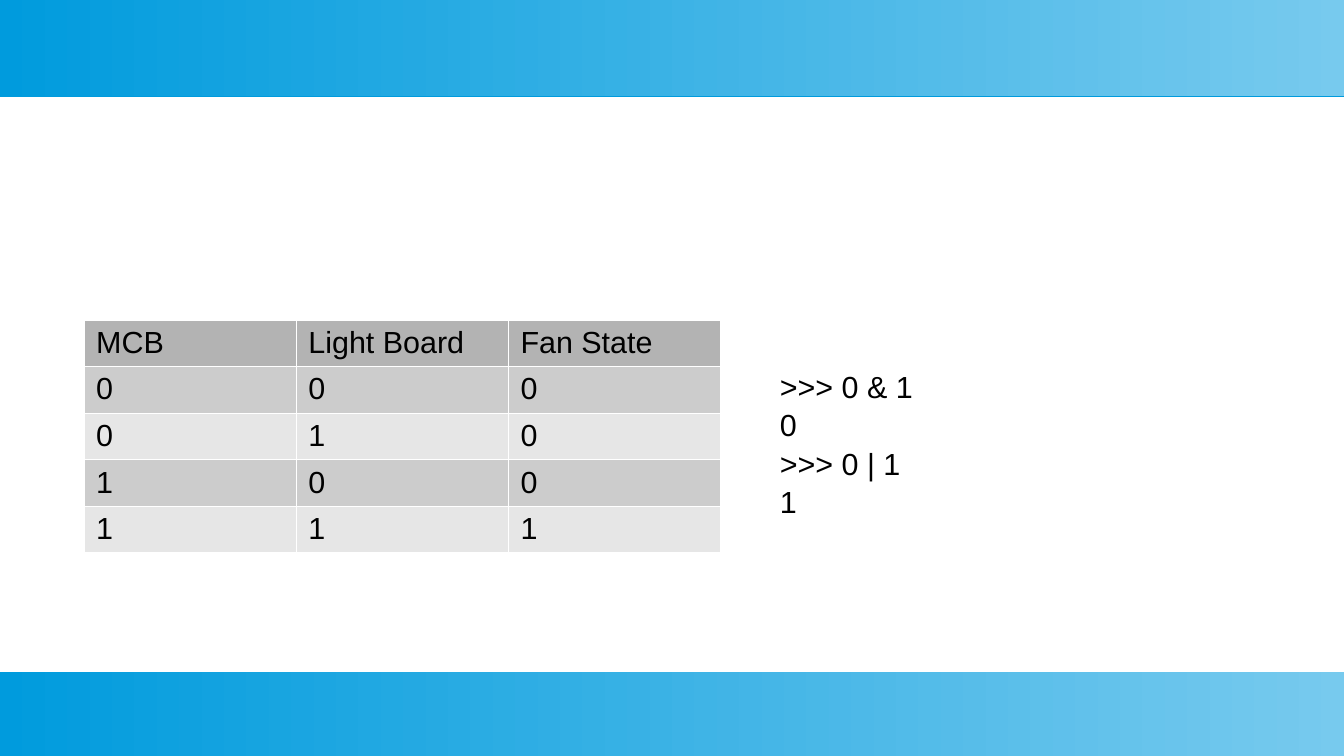
from lxml.etree import SubElement
from pptx import Presentation
from pptx.dml.color import RGBColor
from pptx.enum.shapes import MSO_SHAPE
from pptx.oxml.ns import qn
from pptx.util import Cm, Pt

# Content
TRUTH_TABLE = [
    ("MCB", "Light Board", "Fan State"),
    ("0", "0", "0"),
    ("0", "1", "0"),
    ("1", "0", "0"),
    ("1", "1", "1"),
]
CONSOLE_LINES = [">>> 0 & 1", "0", ">>> 0 | 1", "1"]

THEME = {
    "font": "Arial",
    "size": Pt(18),
    "text": "000000",
    "band_start": "009BDD",
    "band_end": "77CAEE",
    "header": "B3B3B3",
    "rows": ("CCCCCC", "E6E6E6"),
    "border": "FFFFFF",
    "border_width": Pt(0.06),
    "shadow_distance": Pt(0.9),
}

# Layout
SLIDE_WIDTH, SLIDE_HEIGHT = Cm(28), Cm(15.75)
TOP_BAND_HEIGHT, BOTTOM_BAND_HEIGHT = Cm(2), Cm(1.75)
TABLE_LEFT, TABLE_TOP = Cm(1.75), Cm(6.66)
COLUMN_WIDTH, ROW_HEIGHT = Cm(4.42), Cm(0.97)
CONSOLE_BOX = Cm(16), Cm(7.5), Cm(6.5), Cm(5.23)


def write_text(frame, lines, size=THEME["size"], color=THEME["text"], spacing=1.0):
    for index, line in enumerate(lines):
        paragraph = frame.paragraphs[0] if index == 0 else frame.add_paragraph()
        paragraph.line_spacing = spacing
        run = paragraph.add_run()
        run.text = line
        run.font.name = THEME["font"]
        run.font.size = size
        run.font.color.rgb = RGBColor.from_string(color)


def add_band(slide, top, height):
    band = slide.shapes.add_shape(MSO_SHAPE.RECTANGLE, 0, top, SLIDE_WIDTH, height)
    band.line.fill.background()
    band.fill.gradient()
    band.fill.gradient_angle = 0
    for stop, color in zip(band.fill.gradient_stops, (THEME["band_start"], THEME["band_end"])):
        stop.color.rgb = RGBColor.from_string(color)
    # Crisp shadow straight below the band
    band.shadow.inherit = False
    effects = band.element.spPr.find(qn("a:effectLst"))
    shadow = SubElement(effects, qn("a:outerShdw"), blurRad="0",
                        dist=str(int(THEME["shadow_distance"])), dir="5400000", rotWithShape="0")
    SubElement(shadow, qn("a:srgbClr"), val=THEME["band_start"])


def set_borders(cell):
    properties = cell._tc.get_or_add_tcPr()
    for index, side in enumerate(("a:lnL", "a:lnR", "a:lnT", "a:lnB")):
        border = SubElement(properties, qn(side), w=str(int(THEME["border_width"])))
        SubElement(SubElement(border, qn("a:solidFill")), qn("a:srgbClr"), val=THEME["border"])
        properties.insert(index, border)


def add_truth_table(slide):
    row_count, column_count = len(TRUTH_TABLE), len(TRUTH_TABLE[0])
    table = slide.shapes.add_table(row_count, column_count, TABLE_LEFT, TABLE_TOP,
                                   COLUMN_WIDTH * column_count, ROW_HEIGHT * row_count).table
    table.first_row = table.horz_banding = False
    for row_index, values in enumerate(TRUTH_TABLE):
        fill = THEME["rows"][(row_index - 1) % 2] if row_index else THEME["header"]
        for column_index, value in enumerate(values):
            cell = table.cell(row_index, column_index)
            cell.fill.solid()
            cell.fill.fore_color.rgb = RGBColor.from_string(fill)
            set_borders(cell)
            write_text(cell.text_frame, [value])


def main():
    presentation = Presentation()
    presentation.slide_width, presentation.slide_height = SLIDE_WIDTH, SLIDE_HEIGHT
    slide = presentation.slides.add_slide(presentation.slide_layouts[6])

    # Header and footer bands
    add_band(slide, 0, TOP_BAND_HEIGHT)
    add_band(slide, SLIDE_HEIGHT - BOTTOM_BAND_HEIGHT, BOTTOM_BAND_HEIGHT)

    # Truth table and console session
    add_truth_table(slide)
    console = slide.shapes.add_textbox(*CONSOLE_BOX).text_frame
    console.word_wrap = True
    write_text(console, CONSOLE_LINES, spacing=1.05)

    presentation.save("out.pptx")


if __name__ == "__main__":
    main()
